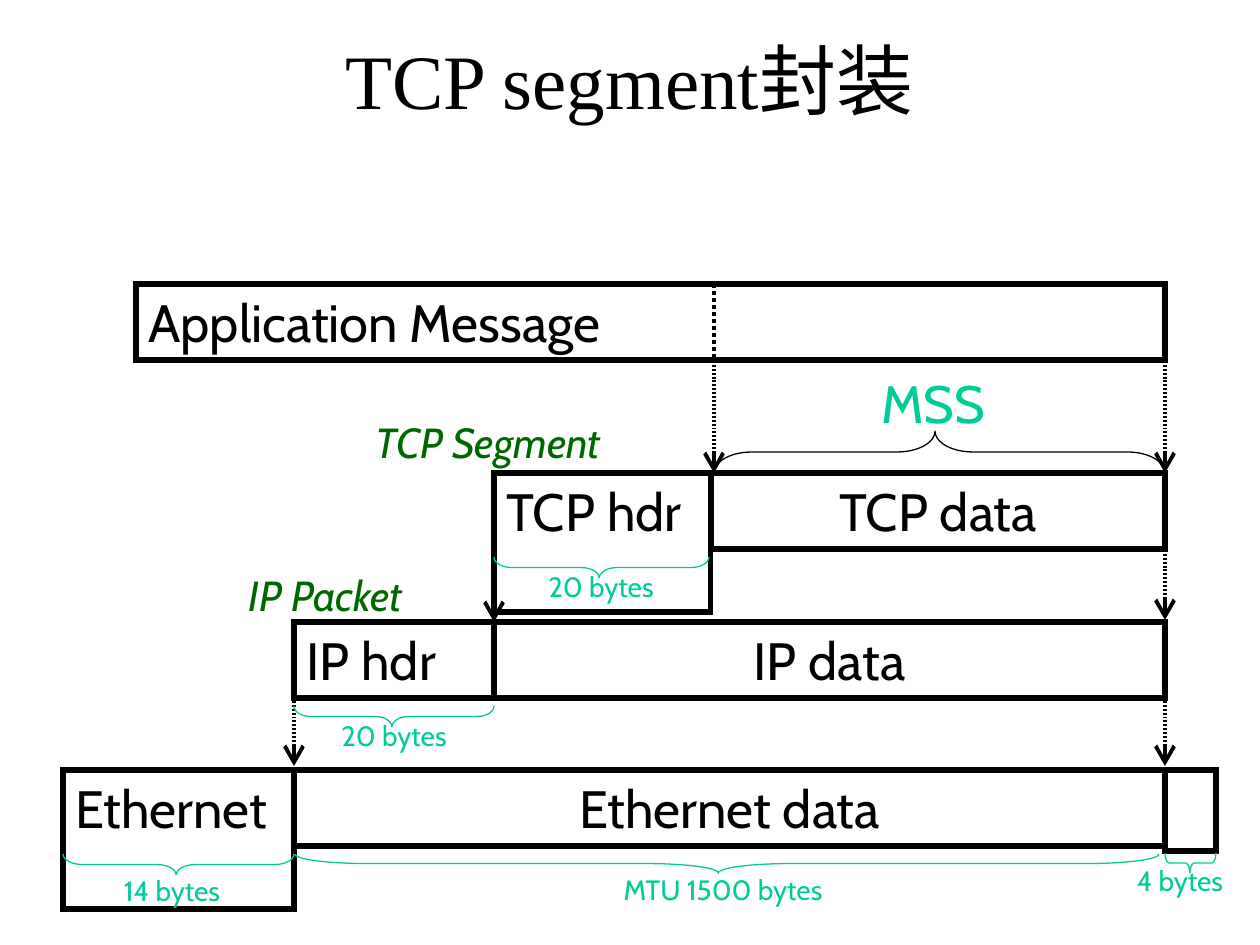
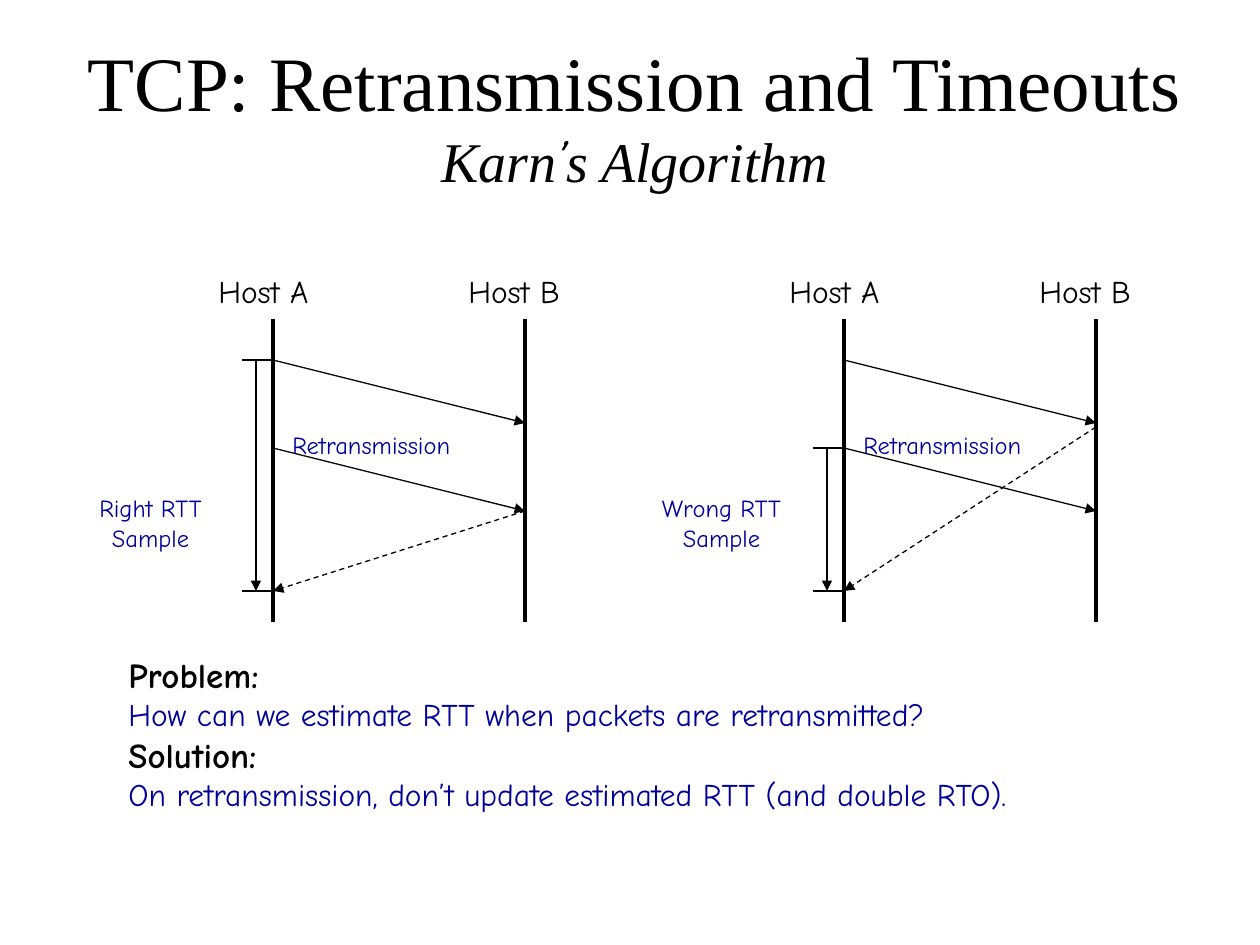
"""Build two slides on TCP encapsulation and retransmission timing."""
from lxml.etree import SubElement
from pptx import Presentation
from pptx.dml.color import RGBColor
from pptx.enum.dml import MSO_LINE
from pptx.enum.shapes import MSO_CONNECTOR, MSO_SHAPE
from pptx.enum.text import MSO_ANCHOR, PP_ALIGN
from pptx.oxml.ns import qn
from pptx.util import Pt

PX = 914400 / 126
BLACK, TEAL, GREEN, NAVY = "000000", "00CC99", "006600", "000099"
SERIF, SANS, COMIC = "Times New Roman", "Cabin", "Comic Neue"
LEFT, CENTER = PP_ALIGN.LEFT, PP_ALIGN.CENTER
HEAD_SIZES = {"arrow": "lg", "triangle": "med"}

IP_X, TCP_X, DATA_X, END_X = 294, 494, 711, 1165
SPLIT_X = 714
LAYERS = [
    ("Application Message", 136, END_X, 284, 76, LEFT),
    ("TCP data", DATA_X, END_X, 473, 76, CENTER),
    ("TCP hdr", TCP_X, DATA_X, 473, 139, LEFT),
    ("IP data", TCP_X, END_X, 622, 76, CENTER),
    ("IP hdr", IP_X, TCP_X, 622, 76, LEFT),
    ("Ethernet data", IP_X, END_X, 770, 76, CENTER),
    ("Ethernet", 63, IP_X, 770, 139, LEFT),
    ("", END_X, 1216, 770, 81, LEFT),
]
DROPS = [
    (SPLIT_X, 357, 473), (END_X, 357, 473), (END_X, 546, 620),
    (TCP_X, 557, 622), (END_X, 693, 766), (IP_X, 693, 766),
]
UNIT_NAMES = [("TCP Segment", 363, 410, 306), ("IP Packet", 236, 563, 195)]
SIZES = [
    ("20 bytes", 601, 563, (TCP_X, 709, 557, 21)),
    ("20 bytes", 394, 712, (IP_X, TCP_X, 706, 21)),
    ("14 bytes", 172, 867, (63, IP_X, 854, 21)),
    ("4 bytes", 1180, 857, (END_X, 1216, 853, 20)),
    ("MTU 1500 bytes", 723, 866, (295, 1159, 854, 19)),
]

HOST_A, HOST_B, SAMPLE_X, TICK_X = 273, 525, 256, 242
SENT, RESENT, ACKED, TRANSIT = 360, 448, 591, 63
TIMELINES = [
    ("Right RTT Sample", 0, SENT, RESENT + TRANSIT),
    ("Wrong RTT Sample", 571, RESENT, 427),
]
SUMMARY = [
    ("Problem:", 20, BLACK, True),
    ("How can we estimate RTT when packets are retransmitted?", 18, NAVY, False),
    ("Solution:", 20, BLACK, True),
    ("On retransmission, don’t update estimated RTT (and double RTO).", 18, NAVY, False),
]


def px(*lengths):
    return [round(length * PX) for length in lengths]


def rgb(color):
    return RGBColor.from_string(color)


def add_span(para, text, size, font, color=BLACK, bold=False, italic=False):
    span = para.add_run()
    span.text = text
    span.font.size, span.font.name = Pt(size), font
    span.font.bold, span.font.italic = bold, italic
    span.font.color.rgb = rgb(color)


def add_box(slide, left, top, width, height, align=LEFT, wrap=True):
    box = slide.shapes.add_textbox(*px(left, top, width, height))
    box.text_frame.word_wrap = wrap
    para = box.text_frame.paragraphs[0]
    para.alignment = align
    return box, para


def add_label(slide, text, frame, size, font, color, align=LEFT, wrap=False, italic=False):
    para = add_box(slide, *frame, align, wrap)[1]
    add_span(para, text, size, font, color, italic=italic)


def add_title(slide, *frame):
    box, para = add_box(slide, *frame, CENTER)
    box.text_frame.vertical_anchor = MSO_ANCHOR.MIDDLE
    return para


def add_outline(slide, kind, frame, color, weight):
    shape = slide.shapes.add_shape(kind, *px(*frame))
    shape.shadow.inherit = False
    shape.fill.background()
    shape.line.color.rgb = rgb(color)
    shape.line.width = Pt(weight)
    SubElement(shape.line._get_or_add_ln(), qn("a:miter"), lim="800000")
    return shape


def add_line(slide, start, end, weight=0.75, dash=None, head=None, fine=False):
    link = slide.shapes.add_connector(MSO_CONNECTOR.STRAIGHT, *px(*start, *end))
    link.line.color.rgb = rgb(BLACK)
    link.line.width = Pt(weight)
    if dash:
        link.line.dash_style = dash
    stroke = link.line._get_or_add_ln()
    if fine:
        dots = SubElement(stroke, qn("a:custDash"))
        SubElement(dots, qn("a:ds"), d="50000", sp="50000")
    if head:
        size = HEAD_SIZES[head]
        SubElement(stroke, qn("a:tailEnd"), type=head, w=size, len=size)
    SubElement(link._element.spPr, qn("a:effectLst"))


def add_brace(slide, left, right, top, depth, color, upward=False):
    length = right - left
    frame = ((left + right - depth) / 2, top + (depth - length) / 2, depth, length)
    brace = add_outline(slide, MSO_SHAPE.LEFT_BRACE, frame, color, 0.75)
    brace.rotation = 90 if upward else 270
    brace.adjustments[0] = length / 12 / depth
    brace.adjustments[1] = 0.51 if upward else 0.49


def add_encapsulation(slide):
    add_span(add_title(slide, 94, 0, 1071, 158), "TCP segment封装", 44, SERIF)
    for name, left, right, top, height, align in LAYERS:
        frame = (left, top, right - left, height)
        layer = add_outline(slide, MSO_SHAPE.RECTANGLE, frame, BLACK, 3)
        layer.text_frame.vertical_anchor = MSO_ANCHOR.TOP
        if name:
            para = layer.text_frame.paragraphs[0]
            para.alignment = align
            add_span(para, name, 30, SANS)
    add_line(slide, (SPLIT_X, 284), (SPLIT_X, 357), 2, MSO_LINE.ROUND_DOT)
    for x, top, bottom in DROPS:
        add_line(slide, (x, top), (x, bottom), 2.25, head="arrow", fine=True)
    add_brace(slide, SPLIT_X, END_X, 431, 42, BLACK, upward=True)
    add_label(slide, "MSS", (869, 365, 140, 76), 30, SANS, TEAL)
    for name, left, top, width in UNIT_NAMES:
        add_label(slide, name, (left, top, width, 63), 24, SANS, GREEN, italic=True)
    for caption, middle, top, span in SIZES:
        add_brace(slide, *span, TEAL)
        add_label(slide, caption, (middle - 118, top, 236, 47), 16, SANS, TEAL, CENTER, wrap=True)


def add_timeline(slide, caption, shift, sample_start, ack_start):
    host_a, host_b = HOST_A + shift, HOST_B + shift
    for name, x, left in (("Host A", host_a, 206), ("Host B", host_b, 456)):
        add_line(slide, (x, 319), (x, 622), 2.25)
        add_label(slide, name, (left + shift, 266, 150, 50), 18, COMIC, BLACK)
    for y in (SENT, RESENT):
        add_line(slide, (host_a, y), (host_b, y + TRANSIT), head="triangle")
    add_line(slide, (host_b, ack_start), (host_a, ACKED), dash=MSO_LINE.DASH, head="triangle")
    for y in (sample_start, ACKED):
        add_line(slide, (TICK_X + shift, y), (host_a, y))
    sample_x = SAMPLE_X + shift
    add_line(slide, (sample_x, sample_start), (sample_x, ACKED), head="triangle")
    add_label(slide, "Retransmission", (280 + shift, 424, 210, 43), 14, COMIC, NAVY)
    add_label(slide, caption, (59 + shift, 487, 183, 72), 14, COMIC, NAVY, CENTER, wrap=True)


def add_retransmission(slide):
    title = add_title(slide, 10, 35, 1250, 158)
    add_span(title, "TCP: Retransmission and Timeouts", 44, SERIF)
    title.add_line_break()
    for text, font in (("Karn", SERIF), ("’", COMIC), ("s Algorithm", SERIF)):
        add_span(title, text, 32, font, italic=True)
    for timeline in TIMELINES:
        add_timeline(slide, *timeline)
    box, para = add_box(slide, 116, 647, 1040, 173)
    for index, (text, size, color, bold) in enumerate(SUMMARY):
        if index:
            para = box.text_frame.add_paragraph()
        add_span(para, text, size, COMIC, color, bold)


def main():
    deck = Presentation()
    deck.slide_width, deck.slide_height = px(1260, 945)
    for fill_page in (add_encapsulation, add_retransmission):
        fill_page(deck.slides.add_slide(deck.slide_layouts[6]))
    deck.save("out.pptx")


if __name__ == "__main__":
    main()
